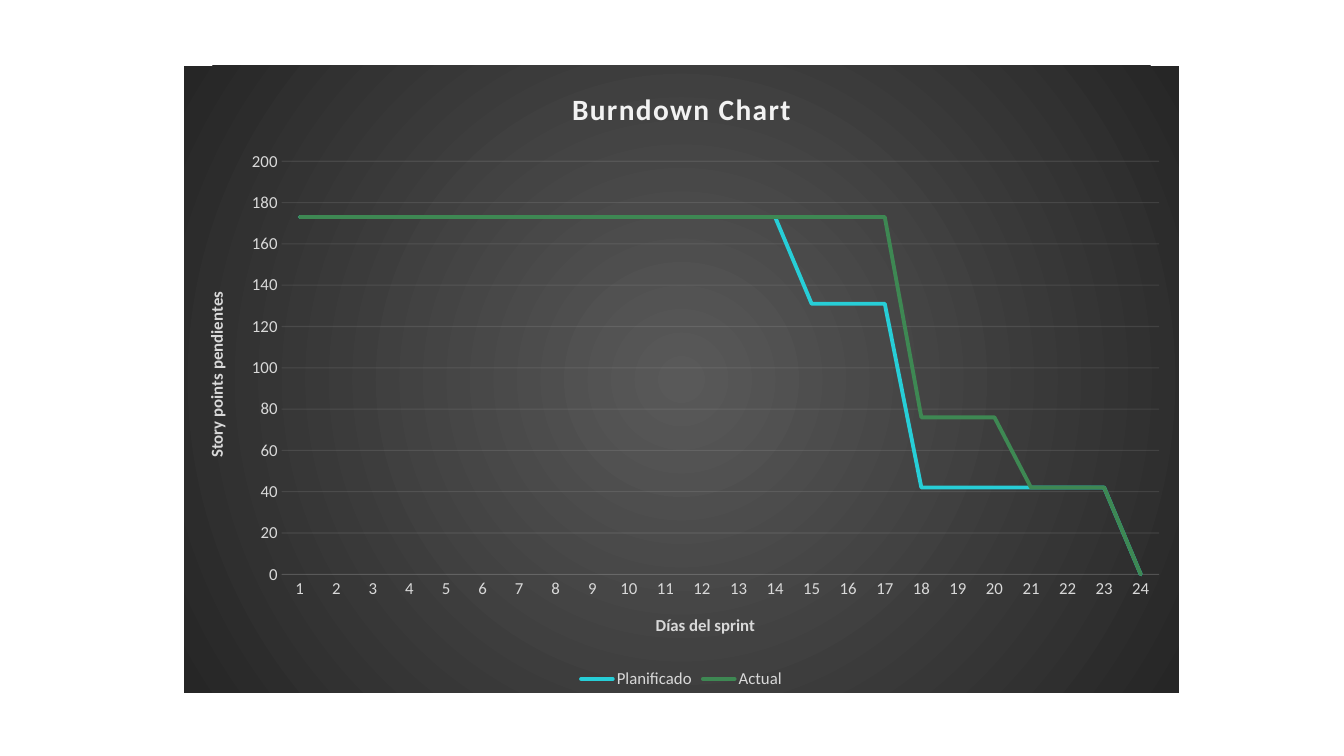
import pptx
import pptx.chart.data
import pptx.dml.color
import pptx.enum.chart
import pptx.oxml
import pptx.oxml.ns
import pptx.util

PX = 12192000 / 1344
FONT = "Calibri"
COLORS = {
    "title": "F2F2F2",
    "text": "D9D9D9",
    "rule": "F2F2F2",
    "center": "595959",
    "edge": "262626",
    "Planificado": "27CED7",
    "Actual": "3E8853",
}
SERIES = {
    "Planificado": [173] * 14 + [131] * 3 + [42] * 6 + [0],
    "Actual": [173] * 17 + [76] * 3 + [42] * 3 + [0],
}
NS = pptx.oxml.ns.nsdecls("c", "a")


def px(n):
    return pptx.util.Emu(round(n * PX))


def rgb(name):
    return pptx.dml.color.RGBColor.from_string(COLORS[name])


def style_font(font, size, color="text", bold=False):
    font.name = FONT
    font.size = pptx.util.Pt(size)
    font.bold = bold
    font.color.rgb = rgb(color)


def style_line(line, color, width):
    line.color.rgb = rgb(color)
    line.width = pptx.util.Pt(width)


def set_title(owner, text, size, color="text"):
    """Title a chart or an axis and return the text run."""
    tf = owner.text_frame
    tf.text = text
    r = tf.paragraphs[0].runs[0]
    style_font(r.font, size, color, bold=True)
    return r


def style_axis(axis, title):
    axis.major_tick_mark = pptx.enum.chart.XL_TICK_MARK.NONE
    axis.minor_tick_mark = pptx.enum.chart.XL_TICK_MARK.NONE
    style_font(axis.tick_labels.font, 12)
    set_title(axis.axis_title, title, 12)


def fade_rules(axis):
    """Make the axis line and its gridlines 10 % opaque."""
    for clr in axis._element.xpath(".//c:spPr//a:srgbClr"):
        clr.append(pptx.oxml.parse_xml(f'<a:alpha {NS} val="10000"/>'))


def fill_radial(chart):
    chart._chartSpace.find(pptx.oxml.ns.qn("c:chart")).addnext(pptx.oxml.parse_xml(
        f'<c:spPr {NS}><a:gradFill><a:gsLst>'
        f'<a:gs pos="0"><a:srgbClr val="{COLORS["center"]}"/></a:gs>'
        f'<a:gs pos="100000"><a:srgbClr val="{COLORS["edge"]}"/></a:gs>'
        '</a:gsLst><a:path path="circle">'
        '<a:fillToRect l="50000" t="50000" r="50000" b="50000"/></a:path></a:gradFill>'
        '<a:ln><a:noFill/></a:ln></c:spPr>'))


def place_plot(chart, x, y, w, h):
    """Fix the inner plot area, in fractions of the chart."""
    plot_area = chart._chartSpace.xpath("c:chart/c:plotArea")[0]
    for old in plot_area.xpath("c:layout"):
        plot_area.remove(old)
    sizes = "".join(f'<c:{k} val="{v}"/>' for k, v in zip("xywh", (x, y, w, h)))
    plot_area.insert(0, pptx.oxml.parse_xml(
        f'<c:layout {NS}><c:manualLayout><c:layoutTarget val="inner"/>'
        f'<c:xMode val="edge"/><c:yMode val="edge"/>{sizes}'
        '</c:manualLayout></c:layout>'))


def add_burndown(s, x, y, w, h):
    data = pptx.chart.data.CategoryChartData()
    data.categories = [str(day) for day in range(1, 25)]
    for name, points in SERIES.items():
        data.add_series(name, points)
    chart = s.shapes.add_chart(pptx.enum.chart.XL_CHART_TYPE.LINE,
                               px(x), px(y), px(w), px(h), data).chart
    style_font(chart.font, 10)
    fill_radial(chart)
    place_plot(chart, 0.098, 0.152, 0.882, 0.659)

    r = set_title(chart.chart_title, "Burndown Chart", 21, "title")
    r.font._element.set("spc", "100")

    days, points = chart.category_axis, chart.value_axis
    style_axis(days, "Días del sprint")
    style_line(days.format.line, "rule", 0.75)
    style_axis(points, "Story points pendientes")
    points.minimum_scale, points.maximum_scale, points.major_unit = 0, 200, 20
    points.format.line.fill.background()
    style_line(points.major_gridlines.format.line, "rule", 0.75)
    for axis in (days, points):
        fade_rules(axis)

    plot = chart.plots[0]
    plot.vary_by_categories = False
    for series in plot.series:
        series.smooth = False
        style_line(series.format.line, series.name, 2.75)
        series._element.xpath("c:spPr/a:ln")[0].set("cap", "rnd")

    chart.has_legend = True
    chart.legend.position = pptx.enum.chart.XL_LEGEND_POSITION.BOTTOM
    chart.legend.include_in_layout = False
    style_font(chart.legend.font, 12)


def main():
    prs = pptx.Presentation()
    prs.slide_width, prs.slide_height = px(1344), px(756)
    s = prs.slides.add_slide(prs.slide_layouts[6])
    add_burndown(s, 184, 66, 995, 627)
    prs.save("out.pptx")


if __name__ == "__main__":
    main()
